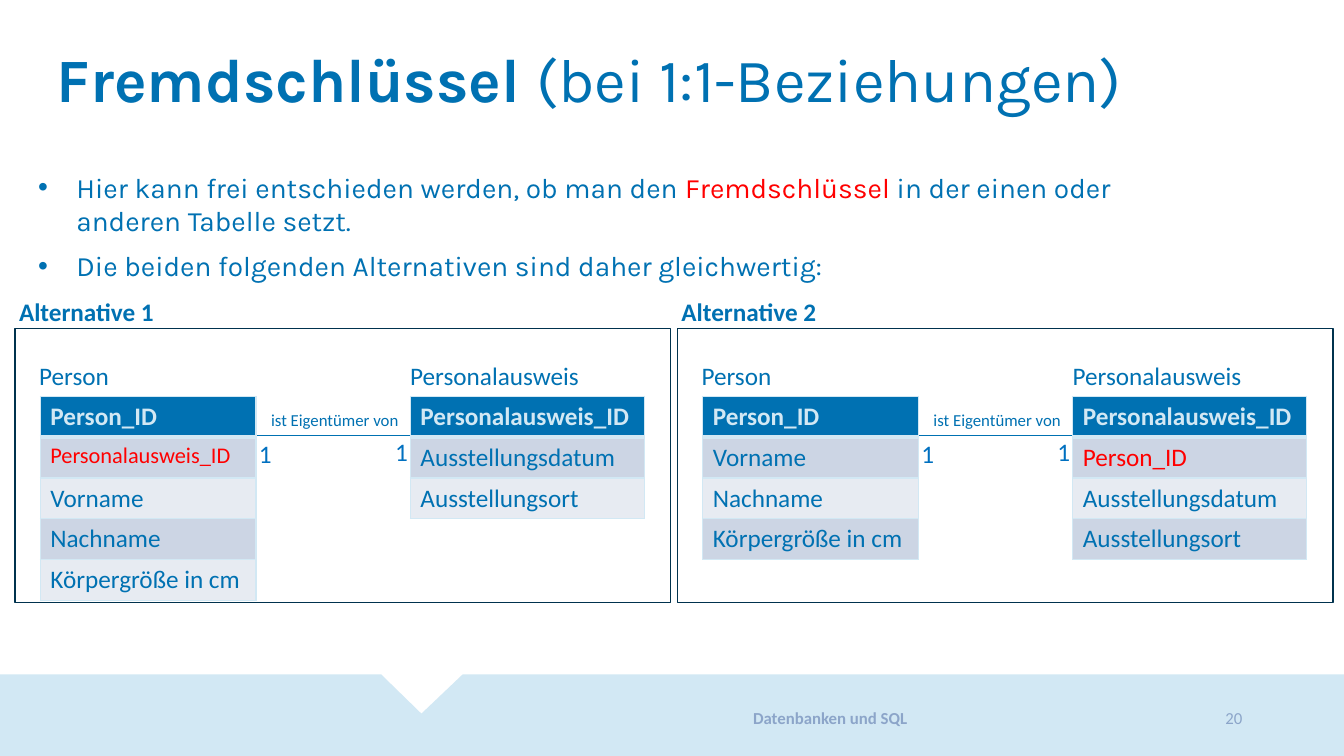
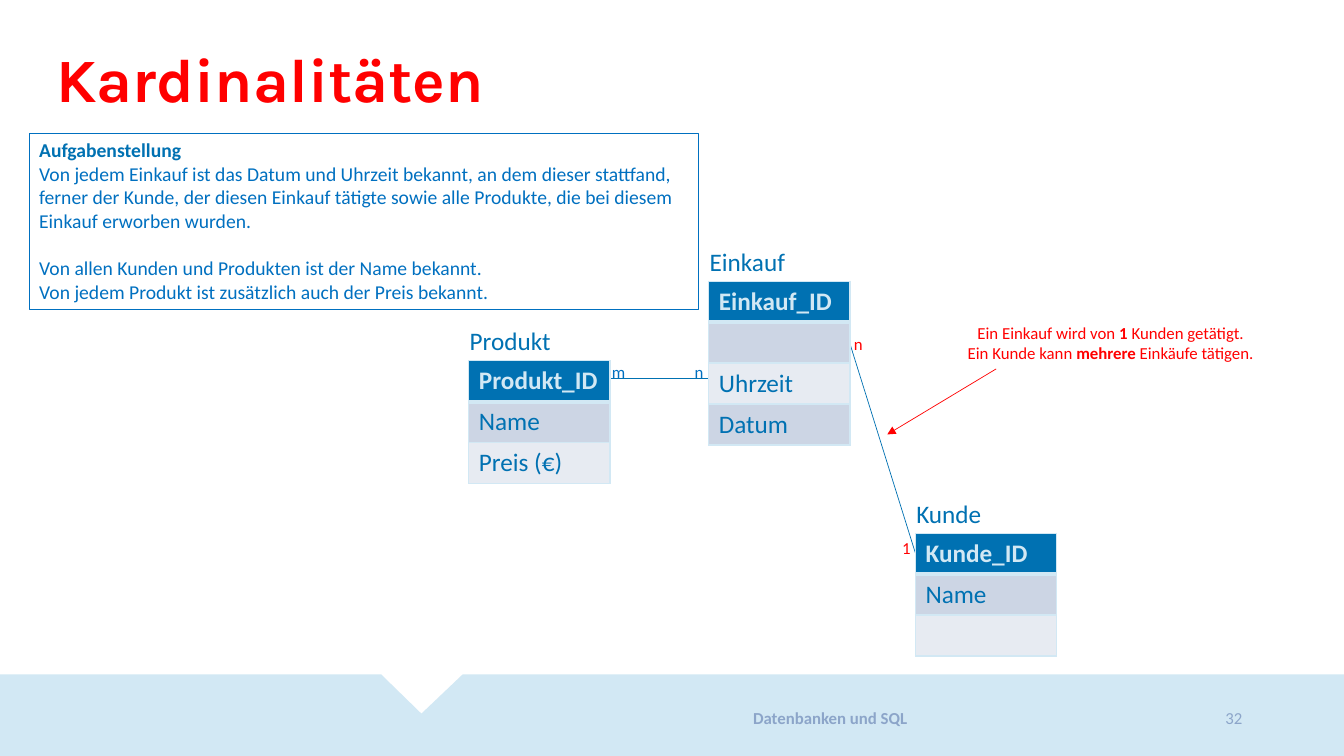
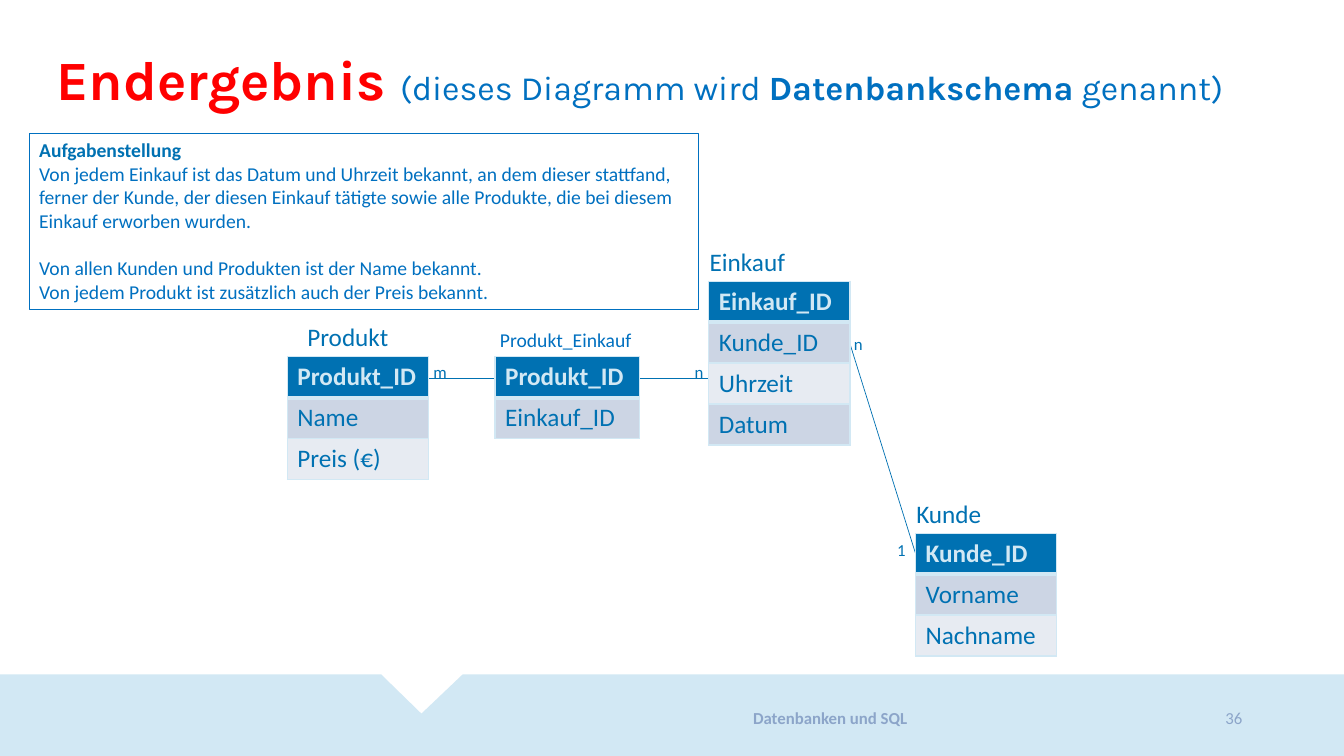
from lxml import etree
from pptx import Presentation
from pptx.dml.color import RGBColor
from pptx.enum.shapes import MSO_CONNECTOR as Connector, MSO_SHAPE as Preset
from pptx.enum.text import MSO_ANCHOR as Anchor, MSO_AUTO_SIZE as AutoSize, PP_ALIGN as Align
from pptx.oxml import parse_xml
from pptx.oxml.ns import nsdecls, qn
from pptx.util import Inches, Pt

HEX = {"blue": "0071B2", "azure": "0070C0", "red": "FF0000", "pale": "D2E8F4",
       "odd": "CCD5E4", "even": "E7EBF2", "navy": "00324E", "footer": "8CA5C9"}
COLOR = {name: RGBColor.from_string(value) for name, value in HEX.items()}
CELL = Inches(0.1)  # the slide is a grid of 133.3 columns and 75 rows
ROW = 4.06          # height of a table row in grid rows
RED, BOLD = {"color": "red"}, {"bold": True}


def at(*cells):
    """Turn grid columns and rows into lengths."""
    return [int(CELL * n) for n in cells]


def write(frame, lines, size, color="blue", bold=False, font="Calibri", align=Align.LEFT):
    """Fill a frame; a line is a list of runs, a run is (text, overrides)."""
    for number, line in enumerate(lines):
        paragraph = frame.add_paragraph() if number else frame.paragraphs[0]
        paragraph.alignment = align
        for text, changes in line:
            style = {"size": size, "color": color, "bold": bold, **changes}
            run = paragraph.add_run()
            run.text = text
            run.font.name = font
            run.font.size = Pt(style["size"])
            run.font.bold = style["bold"]
            run.font.color.rgb = COLOR[style["color"]]


# Entity: column, row, width, name, name shift, name size, name colour, attributes
person, ausweis = ["Vorname", "Nachname", "Körpergröße in cm"], ["Ausstellungsdatum", "Ausstellungsort"]
alternatives = [
    ("Alternative 1", [("Personalausweis_ID", {"size": 16, **RED})] + person, ausweis),
    ("Alternative 2", person, [("Person_ID", RED)] + ausweis),
]
ALTERNATIVE_STEP = 65.7
entities, links, labels, frames = [], [], [], []
for number, (heading, person_rows, ausweis_rows) in enumerate(alternatives):
    left = number * ALTERNATIVE_STEP
    entities += [
        (left + 4, 39.3, 21.4, "Person", -1.1, 18, "blue", ["Person_ID"] + person_rows),
        (left + 40.7, 39.3, 23.2, "Personalausweis", -1, 18, "blue", ["Personalausweis_ID"] + ausweis_rows),
    ]
    links.append((left + 25.4, 43.2, left + 40.7, 43.2, "blue"))
    labels += [
        (left + 25.9, 40.2, 14.8, "ist Eigentümer von", 12, "blue", False),
        (left + 24.7, 43, 3.3, "1", 18, "azure", False),
        (left + 38.2, 42.8, 3.3, "1", 18, "azure", False),
        (left + 0.9, 28.9, 15.5, heading, 18, "blue", True),
    ]
    frames.append((left + 1.5, 32.6, 65, 27.2))

kunde_link = (84.3, 34.1, 90.8, 54.9, "blue")
slides = [
    {"page": "20", "title": [("Fremdschlüssel ", BOLD), ("(bei 1:1-Beziehungen)", {})],
     "entities": entities, "links": links, "labels": labels, "frames": frames},
    {"page": "32", "title": [("Kardinalitäten", {**BOLD, **RED})],
     "entities": [
         (70.3, 27.9, 14, "Einkauf", -0.9, 18, "blue", ["Einkauf_ID", "", "Uhrzeit", "Datum"]),
         (90.8, 52.9, 14, "Kunde", -0.9, 18, "blue", ["Kunde_ID", "Name", ""]),
         (46.5, 35.8, 14, "Produkt", -0.9, 18, "blue", ["Produkt_ID", "Name", "Preis (€)"])],
     "links": [(60.5, 37.5, 70.3, 37.5, "blue"), kunde_link, (98.8, 36.6, 88, 43.1, "red")],
     "labels": [(59.7, 35.4, 3.4, "m", 12, "azure", False), (67.9, 35.4, 2.9, "n", 12, "azure", False),
                (83.7, 32.6, 2.9, "n", 12, "red", False), (88.5, 52.9, 2.9, "1", 12, "red", False)]},
    {"page": "36", "title": [("Endergebnis ", {"size": 39.6, **BOLD, **RED}),
                             *[(text, {"size": 24.3, "color": "azure", "bold": bold}) for text, bold in
                               [("(dieses Diagramm wird ", False), ("Datenbankschema", True), (" genannt)", False)]]],
     "entities": [
         (70.3, 27.9, 14, "Einkauf", -0.9, 18, "blue", ["Einkauf_ID", "Kunde_ID", "Uhrzeit", "Datum"]),
         (90.8, 52.9, 14, "Kunde", -0.9, 18, "blue", ["Kunde_ID", "Vorname", "Nachname"]),
         (28.5, 35.4, 14, "Produkt", 1, 18, "blue", ["Produkt_ID", "Name", "Preis (€)"]),
         (49.1, 35.4, 14.3, "Produkt_Einkauf", -0.5, 14, "azure", ["Produkt_ID", "Einkauf_ID"])],
     "links": [(42.4, 37.5, 70.3, 37.5, "blue"), kunde_link],
     "labels": [(42, 35.4, 3.4, "m", 12, "blue", False), (67.9, 35.4, 2.9, "n", 12, "blue", False),
                (83.7, 32.6, 2.9, "n", 12, "blue", False), (88, 53.1, 2.9, "1", 12, "blue", False)]},
]
NAME_WIDTH = {"Person": 9, "Personalausweis": 18.9, "Einkauf": 9.6, "Kunde": 8.6,
              "Produkt": 10.1, "Produkt_Einkauf": 15.2}
task = ["Aufgabenstellung",
        "Von jedem Einkauf ist das Datum und Uhrzeit bekannt, an dem dieser stattfand,",
        "ferner der Kunde, der diesen Einkauf tätigte sowie alle Produkte, die bei diesem Einkauf erworben wurden.",
        "Von allen Kunden und Produkten ist der Name bekannt.",
        "Von jedem Produkt ist zusätzlich auch der Preis bekannt."]

prs = Presentation()
prs.slide_width, prs.slide_height = at(133.3, 75)
title_only = prs.slide_layouts[5]
layout_title = title_only.placeholders[0]
layout_title.left, layout_title.top, layout_title.width, layout_title.height = at(4.6, 4.2, 125.1, 7.9)

built = []
for content in slides:
    slide = prs.slides.add_slide(title_only)
    shapes = slide.shapes
    built.append(slide)

    outline = shapes.build_freeform(*at(0, 66.9), scale=1.0)
    outline.add_line_segments([at(*point) for point in [
        (37.8, 66.9), (41.8, 70.8), (45.9, 66.9), (133.3, 66.9), (133.3, 75.2), (0, 75.2)]], close=True)
    band = outline.convert_to_shape()
    band.shadow.inherit = False
    band.fill.solid()
    band.fill.fore_color.rgb = COLOR["pale"]
    band.line.fill.background()

    title = shapes.title.text_frame
    title.auto_size = AutoSize.NONE
    title.vertical_anchor = Anchor.MIDDLE
    write(title, [content["title"]], 44, font="Karla")
    title.paragraphs[0].line_spacing = 0.9

    for left, width, text, bold, align in [(58.7, 47.3, "Datenbanken und SQL", True, Align.CENTER),
                                           (106, 18.2, content["page"], False, Align.RIGHT)]:
        footer = shapes.add_textbox(*at(left, 69, width, 4.5)).text_frame
        footer.word_wrap = True
        footer.vertical_anchor = Anchor.MIDDLE
        write(footer, [[(text, {})]], 12, "footer", bold, align=align)

    for x1, y1, x2, y2, color in content["links"]:
        link = shapes.add_connector(Connector.STRAIGHT, *at(x1, y1, x2, y2))
        link.line.color.rgb = COLOR[color]
        link.line.width = Pt(0.5)
        if color == "red":
            etree.SubElement(link.line._get_or_add_ln(), qn("a:tailEnd"), type="triangle")
        etree.SubElement(link.element.spPr, qn("a:effectLst"))

    captions = list(content["labels"])
    for left, top, width, name, shift, size, color, attributes in content["entities"]:
        captions.append((left + shift, top - size / 6 - 1, NAME_WIDTH[name], name, size, color, False))
        table = shapes.add_table(len(attributes), 1, *at(left, top, width, ROW * len(attributes))).table
        table.horz_banding = False
        for number, attribute in enumerate(attributes):
            cell = table.cell(number, 0)
            for side in "LRTB":
                thick = (side, number) in [("B", 0), ("T", 1)]
                cell._tc.get_or_add_tcPr().append(parse_xml(
                    f'<a:ln{side} {nsdecls("a")} w="{Pt(3 if thick else 1)}"><a:solidFill>'
                    f'<a:srgbClr val="{HEX["pale"]}"/></a:solidFill></a:ln{side}>'))
            cell.fill.solid()
            cell.fill.fore_color.rgb = COLOR["blue" if number == 0 else "odd" if number % 2 else "even"]
            if attribute:
                run = (attribute, {}) if isinstance(attribute, str) else attribute
                write(cell.text_frame, [[run]], 18, "blue" if number else "pale", number == 0)

    for left, top, width, text, size, color, bold in captions:
        caption = shapes.add_textbox(*at(left, top, width, size / 6 + 1)).text_frame
        caption.word_wrap = False
        caption.auto_size = AutoSize.SHAPE_TO_FIT_TEXT
        write(caption, [[(text, {})]], size, color, bold)

    # Slides without alternatives carry the task in a framed box
    for box in content.get("frames", [(2.9, 13.2, 66.4, 17.5)]):
        frame = shapes.add_shape(Preset.RECTANGLE, *at(*box))
        frame.shadow.inherit = False
        frame.fill.background()
        frame.line.color.rgb = COLOR["navy"]
        frame.line.width = Pt(1)
        if "frames" not in content:
            frame.line.color.rgb = COLOR["azure"]
            frame.line.width = Pt(0.75)
            frame.text_frame.vertical_anchor = Anchor.TOP
            write(frame.text_frame, [[(line, {} if number else {"color": "blue", **BOLD})]
                                     for number, line in enumerate(task)], 14, "azure")
            frame.text_frame.paragraphs[3].space_before = Pt(17)

bullets = built[0].shapes.add_textbox(*at(2.8, 16.4, 118.4, 17.7)).text_frame
bullets.word_wrap = True
write(bullets, [[("Hier kann frei entschieden werden, ob man den ", {}), ("Fremdschlüssel", RED),
                 (" in der einen oder anderen Tabelle setzt.", {})],
                [("Die beiden folgenden Alternativen sind daher gleichwertig:", {})]], 20, font="Karla")
bullets.paragraphs[1].space_before = Pt(8)
for paragraph in bullets.paragraphs:
    properties = paragraph._p.get_or_add_pPr()
    properties.set("marL", str(Inches(0.38)))
    properties.set("indent", str(-Inches(0.38)))
    etree.SubElement(properties, qn("a:buFont"), typeface="Arial")
    etree.SubElement(properties, qn("a:buChar"), char="•")

note = built[1].shapes.add_textbox(*at(94.9, 31.5, 30.5, 5)).text_frame
note.word_wrap = False
write(note, [[("Ein Einkauf wird von ", {}), ("1", BOLD), (" Kunden getätigt.", {})],
             [("Ein Kunde kann ", {}), ("mehrere", BOLD), (" Einkäufe tätigen.", {})]],
      12, "red", align=Align.CENTER)

prs.save("out.pptx")
